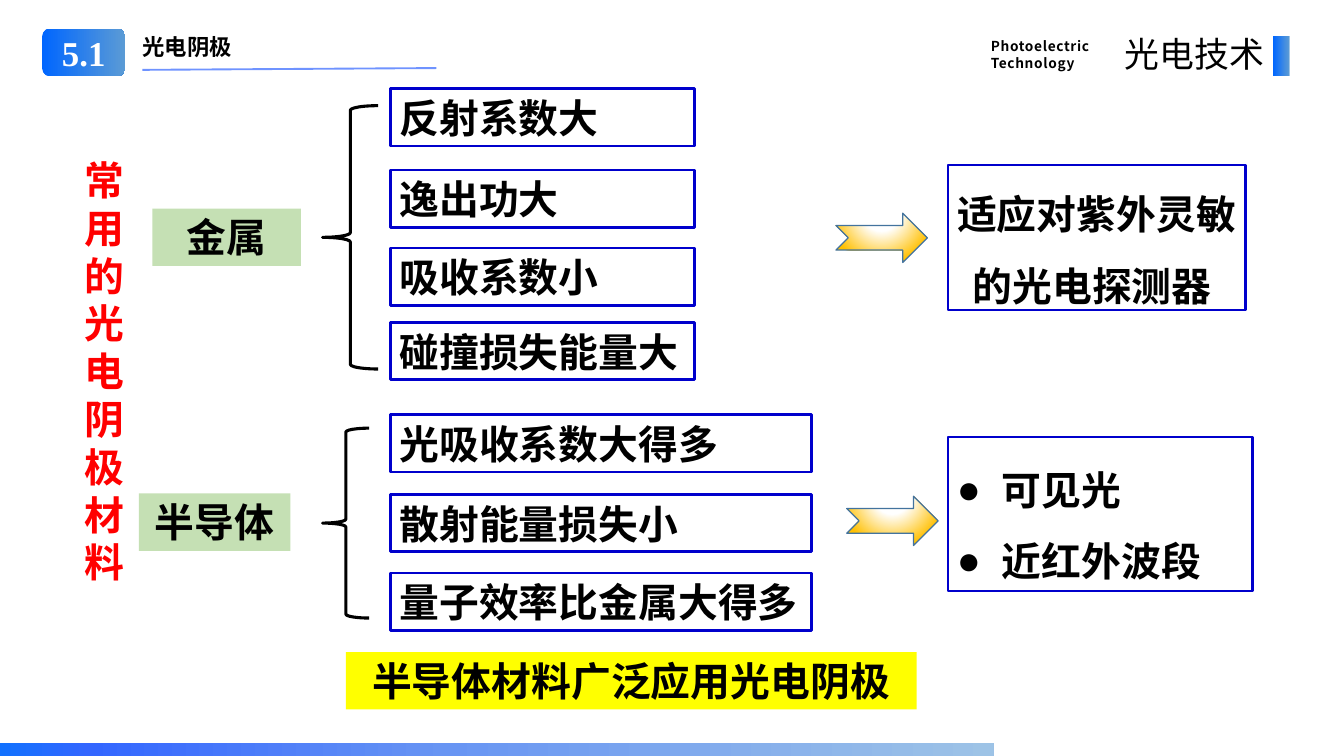
from lxml.etree import SubElement
from pptx import Presentation
from pptx.dml.color import RGBColor
from pptx.enum.shapes import MSO_CONNECTOR, MSO_SHAPE
from pptx.enum.text import MSO_ANCHOR, MSO_AUTO_SIZE, PP_ALIGN
from pptx.oxml.ns import qn
from pptx.util import Inches, Pt

COLORS = {
    "black": "000000", "white": "FFFFFF", "red": "FF0000", "green": "C5E0B4",
    "yellow": "FFFF00", "outline": "0000CC", "rule": "3366FF", "arrow": "43739E",
    "amber": "FFC000", "blue": "0066FF", "sky": "5B9BD5",
    "bar_start": "1271FE", "bar_middle": "6895F3", "bar_end": "9DC3E6",
}
SANS = "Noto Sans CJK SC"
BADGE_STOPS = [(0, "blue"), (100, "sky")]
BAR_STOPS = [(0, "bar_start"), (9, "rule"), (45, "bar_middle"), (100, "bar_end")]
ARROW_STOPS = [(0, "white"), (35, "white"), (100, "amber")]
ROW_HEIGHT = 0.64


def rgb(name):
    return RGBColor.from_string(COLORS[name])


def place(shape, box):
    shape.left, shape.top, shape.width, shape.height = map(Inches, box)


def add_text(shape, text, size=32, color="black", font=SANS, bold=True,
             align=PP_ALIGN.LEFT, anchor=MSO_ANCHOR.TOP, line_spacing=None,
             tracking=0, bullet=None, space_before=0):
    """Fill a shape with text, one paragraph per line."""
    frame = shape.text_frame
    frame.word_wrap = True
    frame.auto_size = MSO_AUTO_SIZE.NONE
    frame.vertical_anchor = anchor
    frame.text = text
    for paragraph in frame.paragraphs:
        paragraph.alignment = align
        paragraph.space_before = Pt(space_before)
        if line_spacing:
            paragraph.line_spacing = line_spacing
        if bullet:
            properties = paragraph._p.get_or_add_pPr()
            properties.set("marL", str(Inches(0.5)))
            properties.set("indent", str(-Inches(0.5)))
            SubElement(properties, qn("a:buChar"), char=bullet)
        for run in paragraph.runs:
            run.font.size = Pt(size)
            run.font.bold = bold
            run.font.name = font
            run.font.color.rgb = rgb(color)
            properties = run.font._element
            properties.find(qn("a:latin")).addnext(
                properties.makeelement(qn("a:ea"), {"typeface": font}))
            if tracking:
                properties.set("spc", str(round(tracking * 100)))


def set_gradient(shape, stops, radial=False):
    shape.fill.gradient()
    gradient = shape._element.spPr.find(qn("a:gradFill"))
    for child in list(gradient):
        gradient.remove(child)
    stop_list = SubElement(gradient, qn("a:gsLst"))
    for position, color in stops:
        stop = SubElement(stop_list, qn("a:gs"), pos=str(position * 1000))
        SubElement(stop, qn("a:srgbClr"), val=COLORS[color])
    if radial:
        circle = SubElement(gradient, qn("a:path"), path="circle")
        SubElement(circle, qn("a:fillToRect"), l="50000", t="-80000", r="50000", b="180000")
    else:
        SubElement(gradient, qn("a:lin"), ang="0", scaled="0")


def add_shape(slide, kind, box, fill=None, line=None, line_width=2, stops=None, radial=False):
    shape = slide.shapes.add_shape(kind, *map(Inches, box))
    shape.shadow.inherit = False
    if stops:
        set_gradient(shape, stops, radial)
    elif fill:
        shape.fill.solid()
        shape.fill.fore_color.rgb = rgb(fill)
    else:
        shape.fill.background()
    if line:
        shape.line.color.rgb = rgb(line)
        shape.line.width = Pt(line_width)
    else:
        shape.line.fill.background()
    return shape


def add_label(slide, box, text, **text_format):
    add_text(slide.shapes.add_textbox(*map(Inches, box)), text, **text_format)


def add_header(slide, box):
    left, top, width, height = box
    badge = add_shape(slide, MSO_SHAPE.ROUNDED_RECTANGLE, (left, top, 0.93, height),
                      stops=BADGE_STOPS)
    add_text(badge, "5.1", size=28, color="white", font="Times New Roman",
             align=PP_ALIGN.CENTER, anchor=MSO_ANCHOR.MIDDLE, space_before=8)
    place(slide.shapes.title, (left + 1.02, top, 3.5, 0.4))
    add_text(slide.shapes.title, "光电阴极", size=18)
    rule = slide.shapes.add_connector(
        MSO_CONNECTOR.STRAIGHT, Inches(left + 1.12), Inches(top + 0.46),
        Inches(left + 4.4), Inches(top + 0.44))
    rule.line.color.rgb = rgb("rule")
    rule.line.width = Pt(1.5)
    SubElement(rule._element.spPr.find(".//" + qn("a:srgbClr")), qn("a:alpha"), val="70000")
    SubElement(rule._element.spPr, qn("a:effectLst"))

    right = left + width
    add_label(slide, (right - 3.43, top + 0.04, 1.58, 0.49), "Photoelectric\nTechnology",
              size=11, line_spacing=Pt(14), tracking=0.5)
    add_label(slide, (right - 2.08, top, 1.9, 0.57), "光电技术", size=28, bold=False,
              align=PP_ALIGN.RIGHT, tracking=0.2)
    add_shape(slide, MSO_SHAPE.RECTANGLE, (right - 0.18, top + 0.08, 0.18, 0.45),
              stops=BADGE_STOPS)


def add_material(slide, box, name, name_box, brace_box, traits, arrow_at):
    """Place a material name, a brace, its (offset, trait) rows and an arrow."""
    left, top, width, _ = box

    def inside(part):
        return left + part[0], top + part[1], part[2], part[3]

    label = add_shape(slide, MSO_SHAPE.RECTANGLE, inside(name_box), fill="green")
    add_text(label, name, align=PP_ALIGN.CENTER)
    add_shape(slide, MSO_SHAPE.LEFT_BRACE, inside(brace_box), line="black", line_width=2.5)
    for offset, trait in traits:
        row = add_shape(slide, MSO_SHAPE.RECTANGLE,
                        (left + 2.81, top + offset, width - 2.81, ROW_HEIGHT), line="outline")
        add_text(row, trait, anchor=MSO_ANCHOR.MIDDLE)
    add_shape(slide, MSO_SHAPE.NOTCHED_RIGHT_ARROW, inside((*arrow_at, 1.02, 0.55)),
              line="arrow", line_width=1, stops=ARROW_STOPS, radial=True)


def add_metal_use(slide, box):
    shape = add_shape(slide, MSO_SHAPE.RECTANGLE, box, line="outline")
    add_text(shape, "适应对紫外灵敏的光电探测器 ", align=PP_ALIGN.CENTER,
             anchor=MSO_ANCHOR.MIDDLE, line_spacing=1.5)


def add_semiconductor_use(slide, box):
    body = slide.placeholders[1]
    place(body, box)
    body.line.color.rgb = rgb("outline")
    body.line.width = Pt(2)
    add_text(body, "可见光\n近红外波段", line_spacing=1.5, bullet="●")


def add_conclusion(slide, box):
    shape = add_shape(slide, MSO_SHAPE.RECTANGLE, box, fill="yellow")
    add_text(shape, "半导体材料广泛应用光电阴极", align=PP_ALIGN.CENTER)


def main():
    presentation = Presentation()
    presentation.slide_width, presentation.slide_height = Inches(15), Inches(8.44)
    slide = presentation.slides.add_slide(presentation.slide_layouts[1])

    add_header(slide, (0.47, 0.32, 13.92, 0.53))
    add_label(slide, (0.85, 1.69, 0.78, 5.03), "常用的光电阴极材料", color="red",
              line_spacing=Pt(38.4))
    add_material(
        slide, (1.55, 0.99, 6.2, 3.25), "金属",
        name_box=(0.15, 1.34, 1.66, ROW_HEIGHT), brace_box=(2.05, 0.19, 0.62, 2.94),
        traits=[(0, "反射系数大"), (0.91, "逸出功大"), (1.78, "吸收系数小"),
                (2.61, "碰撞损失能量大")],
        arrow_at=(7.78, 1.39))
    add_material(
        slide, (1.55, 4.63, 7.51, 2.41), "半导体",
        name_box=(0, 0.88, 1.69, ROW_HEIGHT), brace_box=(2.05, 0.15, 0.52, 2.12),
        traits=[(0, "光吸收系数大得多"), (0.89, "散射能量损失小"),
                (1.77, "量子效率比金属大得多")],
        arrow_at=(7.9, 0.91))
    add_metal_use(slide, (10.58, 1.84, 3.32, 1.62))
    add_semiconductor_use(slide, (10.58, 4.88, 3.4, 1.72))
    add_conclusion(slide, (3.86, 7.28, 6.37, ROW_HEIGHT))
    add_shape(slide, MSO_SHAPE.RECTANGLE, (0, 8.3, 11.09, 0.14), stops=BAR_STOPS)

    presentation.save("out.pptx")


if __name__ == "__main__":
    main()
